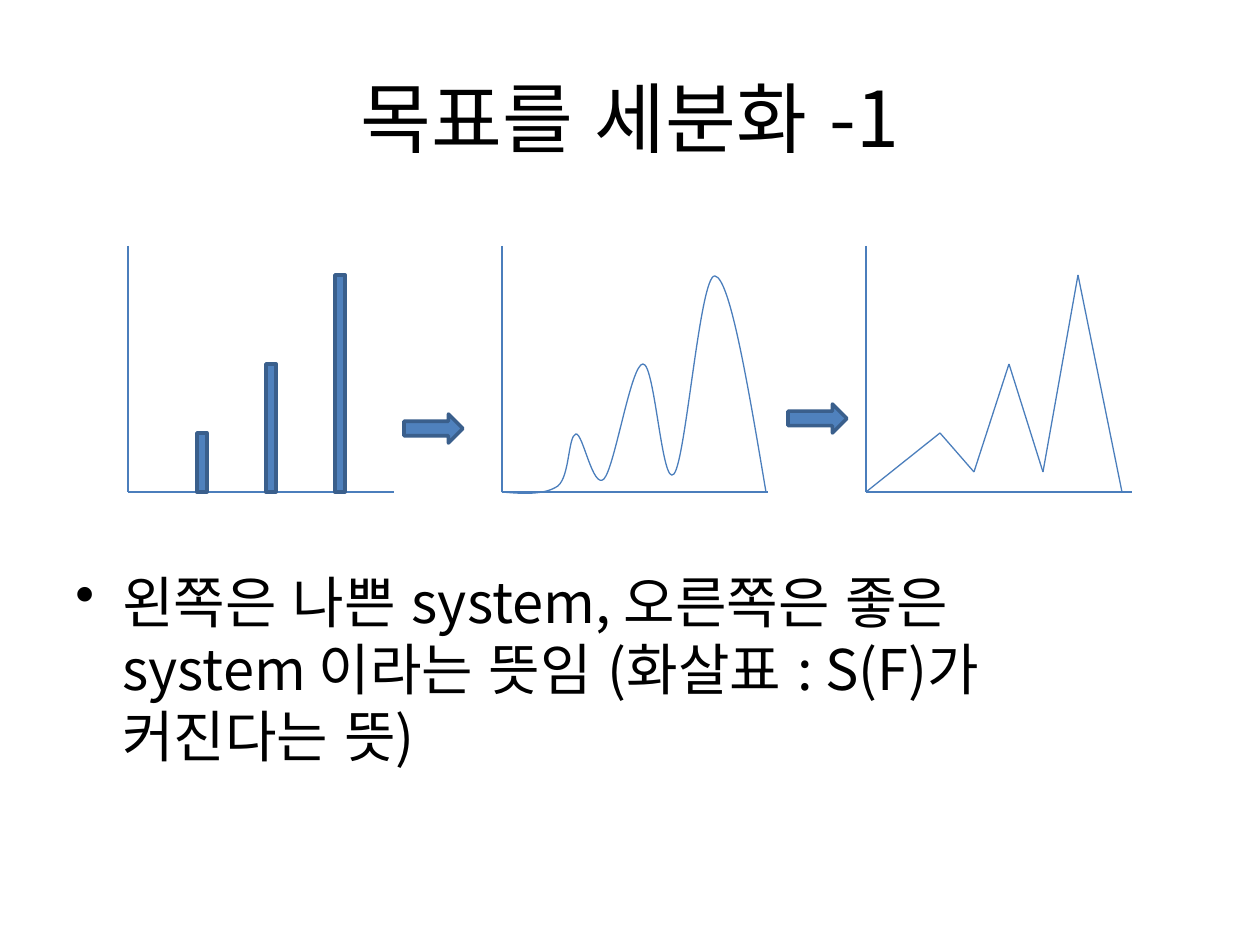
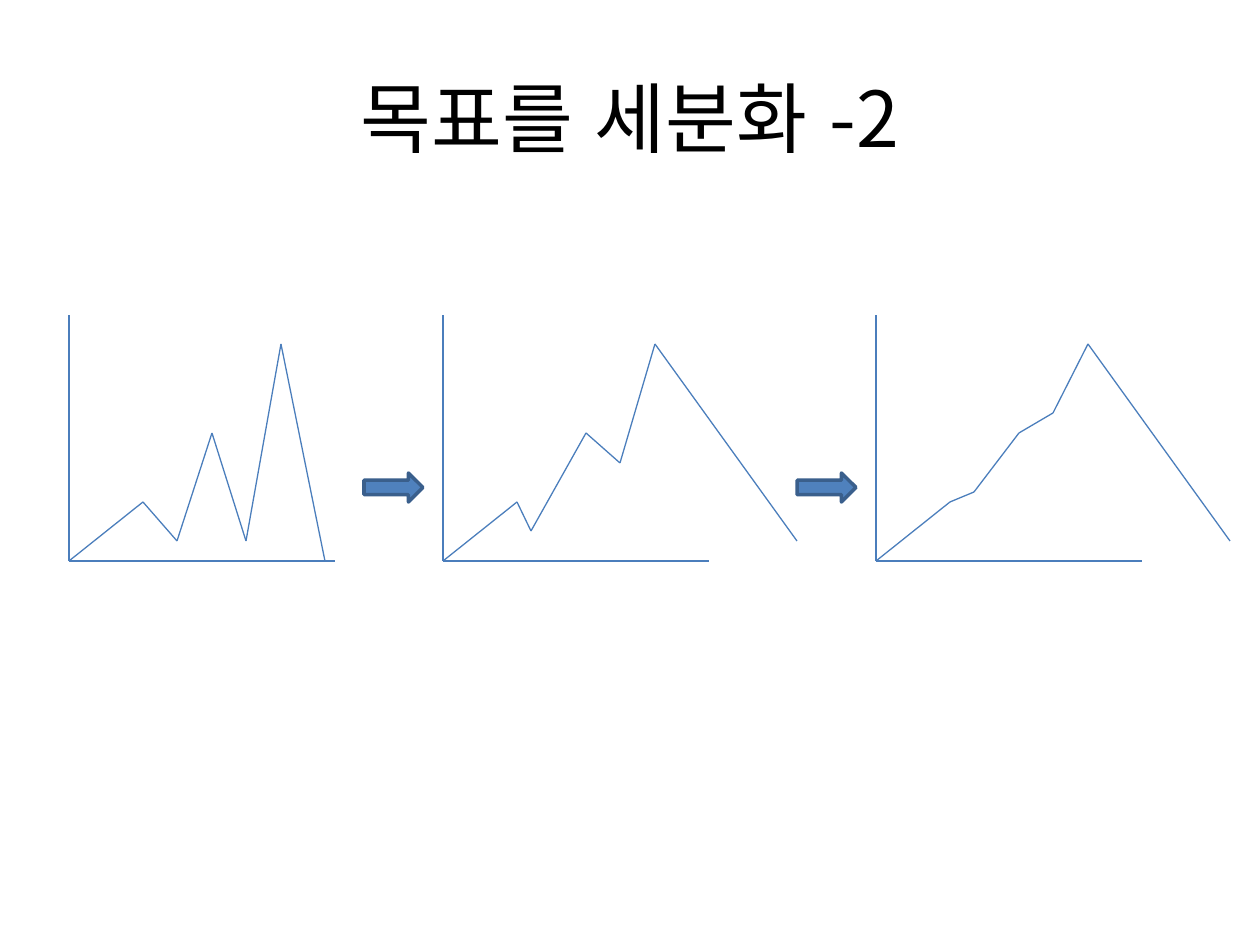
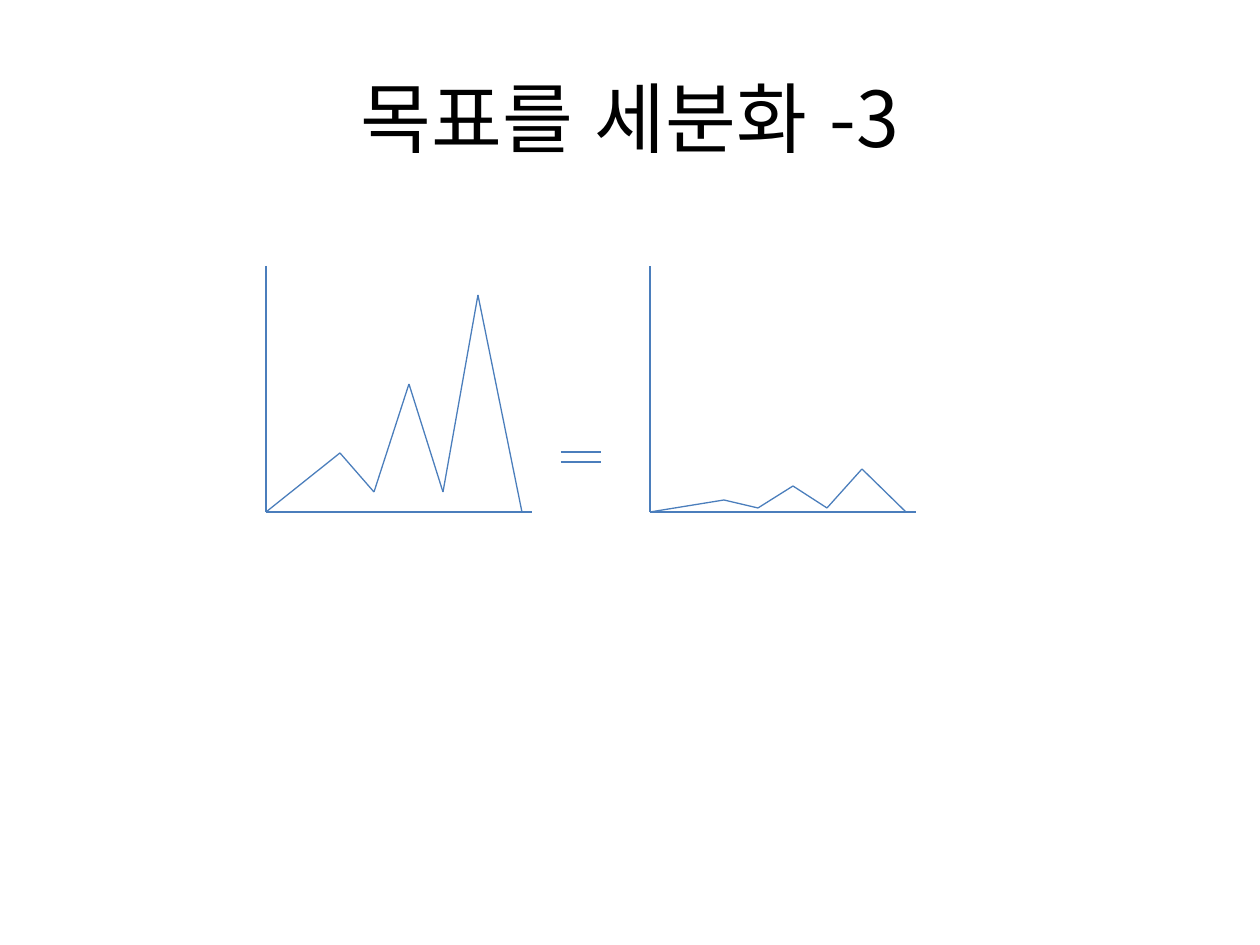
from dataclasses import dataclass
from itertools import pairwise

from pptx import Presentation
from pptx import util as u
from pptx.dml.color import RGBColor
from pptx.enum import shapes, text
from pptx.oxml import xmlchemy
from pptx.oxml.ns import qn

PX = 914400 / 126


@dataclass(frozen=True)
class Theme:
    font: str = "Noto Sans CJK KR"
    ink: RGBColor = RGBColor(0x00, 0x00, 0x00)
    stroke: RGBColor = RGBColor(0x4B, 0x7E, 0xBC)
    fill: RGBColor = RGBColor(0x4F, 0x81, 0xBD)
    border: RGBColor = RGBColor(0x3A, 0x5F, 0x8C)
    title_size: int = 44
    body_size: int = 32
    thin: float = 0.75
    thick: float = 2


THEME = Theme()

# Shared boxes: left, top, width, height in px
TITLE_BOX = (63, 38, 1134, 157)
BODY_BOX = (63, 561, 1134, 283)
GRAPH_WIDTH, GRAPH_HEIGHT = 266, 246
ARROW_WIDTH, ARROW_HEIGHT = 59, 29
BAR_WIDTH = 10

# Graph data: px right of the origin, px above the axis
PEAKS = [(74, 59), (143, 128), (212, 217)]
SEPARATE = [(0, 0), PEAKS[0], (108, 20), PEAKS[1], (177, 20), PEAKS[2], (256, 0)]
SHALLOW = [(0, 0), PEAKS[0], (88, 30), PEAKS[1], (177, 98), PEAKS[2], (354, 20)]
RISING = [(0, 0), PEAKS[0], (98, 69), PEAKS[1], (177, 148), PEAKS[2], (354, 20)]
FLAT_SCALE = 0.2
FLAT = [(x, round(height * FLAT_SCALE)) for x, height in SEPARATE]
# Start point, then two control points and an end point for each bend
WAVE = [
    (0, 0),
    (21, -2), (43, -3), (56, 6),
    (68, 16), (66, 56), (74, 58),
    (81, 59), (91, 2), (102, 13),
    (113, 25), (129, 128), (141, 128),
    (153, 129), (160, 3), (172, 18),
    (184, 32), (198, 218), (213, 216),
    (228, 214), (246, 107), (264, 0),
]


def px(*lengths):
    return [u.Emu(round(length * PX)) for length in lengths]


def apply(target, formats):
    for name, value in formats.items():
        setattr(target, name, value)


# Basic parts
def add_text(slide, box, words, size, frame_format, paragraph_format):
    frame = slide.shapes.add_textbox(*px(*box)).text_frame
    apply(frame, {"word_wrap": True, **frame_format})
    paragraph = frame.paragraphs[0]
    apply(paragraph, paragraph_format)
    run = paragraph.add_run()
    run.text = words
    apply(run.font, {"size": u.Pt(size), "name": THEME.font})
    run.font.color.rgb = THEME.ink
    # Korean text without pair kerning
    properties = run.font._element
    properties.set("lang", "ko-KR")
    properties.set("kern", "0")
    east_asian = xmlchemy.OxmlElement("a:ea")
    east_asian.set("typeface", THEME.font)
    properties.append(east_asian)
    return paragraph


def add_line(slide, start, end):
    line = slide.shapes.add_connector(
        shapes.MSO_CONNECTOR.STRAIGHT, *px(*start, *end))
    line.line.color.rgb = THEME.stroke
    line.line.width = u.Pt(THEME.thin)
    line._element.spPr.append(xmlchemy.OxmlElement("a:effectLst"))


def add_solid(slide, kind, box):
    solid = slide.shapes.add_shape(kind, *px(*box))
    solid.shadow.inherit = False
    solid.fill.solid()
    solid.fill.fore_color.rgb = THEME.fill
    solid.line.color.rgb = THEME.border
    solid.line.width = u.Pt(THEME.thick)


def add_arrow(slide, left, top):
    add_solid(slide, shapes.MSO_SHAPE.RIGHT_ARROW,
              (left, top, ARROW_WIDTH, ARROW_HEIGHT))


# Graphs, each placed from the top left corner of its box
def add_axes(slide, left, top, scale=1):
    base = top + GRAPH_HEIGHT
    scaled_top = base - round(GRAPH_HEIGHT * scale)
    add_line(slide, (left, scaled_top), (left, base))
    add_line(slide, (left, base), (left + GRAPH_WIDTH, base))
    # A scaled axis is extended to the full height
    if scaled_top > top:
        add_line(slide, (left, scaled_top), (left, top))
    return base


def bar_graph(slide, left, top):
    base = add_axes(slide, left, top)
    for center, height in PEAKS:
        add_solid(slide, shapes.MSO_SHAPE.RECTANGLE,
                  (left + center - BAR_WIDTH / 2, base - height, BAR_WIDTH, height))


def line_graph(slide, left, top, profile, scale=1):
    base = add_axes(slide, left, top, scale)
    points = [(left + x, base - height) for x, height in profile]
    for start, end in pairwise(points):
        add_line(slide, start, end)


def wave_graph(slide, left, top):
    base = add_axes(slide, left, top)
    start, *rest = [px(left + x, base - height) for x, height in WAVE]
    builder = slide.shapes.build_freeform(*start)
    builder.add_line_segments(rest, close=False)
    wave = builder.convert_to_shape()
    wave.shadow.inherit = False
    wave.fill.background()
    wave.line.color.rgb = THEME.stroke
    wave.line.width = u.Pt(THEME.thin)
    # Join each three segments into one bend
    segments = list(wave._element.iter(qn("a:lnTo")))
    for first in range(0, len(segments), 3):
        bend = xmlchemy.OxmlElement("a:cubicBezTo")
        segments[first].addprevious(bend)
        for segment in segments[first:first + 3]:
            bend.append(segment[0])
            segment.getparent().remove(segment)


# Text regions
def add_title(slide, number):
    add_text(slide, TITLE_BOX, f"목표를 세분화 -{number}", THEME.title_size,
             {"vertical_anchor": text.MSO_ANCHOR.MIDDLE},
             {"alignment": text.PP_ALIGN.CENTER})


def add_bullet(slide, words):
    paragraph = add_text(slide, BODY_BOX, words, THEME.body_size,
                         {"margin_right": px(60)[0]},
                         {"space_before": u.Pt(6.4)})
    properties = paragraph._p.get_or_add_pPr()
    indent = px(47)[0]
    properties.set("marL", str(indent))
    properties.set("indent", str(-indent))
    bullet = xmlchemy.OxmlElement("a:buChar")
    bullet.set("char", "•")
    properties.append(bullet)


# Slides
def bars_to_lines(slide):
    top = 246
    bar_graph(slide, 128, top)
    wave_graph(slide, 502, top)
    line_graph(slide, 866, top, SEPARATE)
    add_arrow(slide, 404, 414)
    add_arrow(slide, 788, 404)
    add_bullet(slide, "왼쪽은 나쁜 system, 오른쪽은 좋은 system 이라는 뜻임 "
                      "(화살표 : S(F)가 커진다는 뜻)")


def valleys_to_slope(slide):
    for left, profile in ((69, SEPARATE), (443, SHALLOW), (876, RISING)):
        line_graph(slide, left, 315, profile)
    for left in (364, 797):
        add_arrow(slide, left, 473)


def equal_scales(slide):
    top = 266
    line_graph(slide, 266, top, SEPARATE)
    line_graph(slide, 650, top, FLAT, FLAT_SCALE)
    for height in (452, 462):
        add_line(slide, (561, height), (601, height))


def main():
    deck = Presentation()
    deck.slide_width, deck.slide_height = px(1260, 945)
    for number, draw in enumerate((bars_to_lines, valleys_to_slope, equal_scales), 1):
        slide = deck.slides.add_slide(deck.slide_layouts[6])
        add_title(slide, number)
        draw(slide)
    deck.save("out.pptx")


if __name__ == "__main__":
    main()
